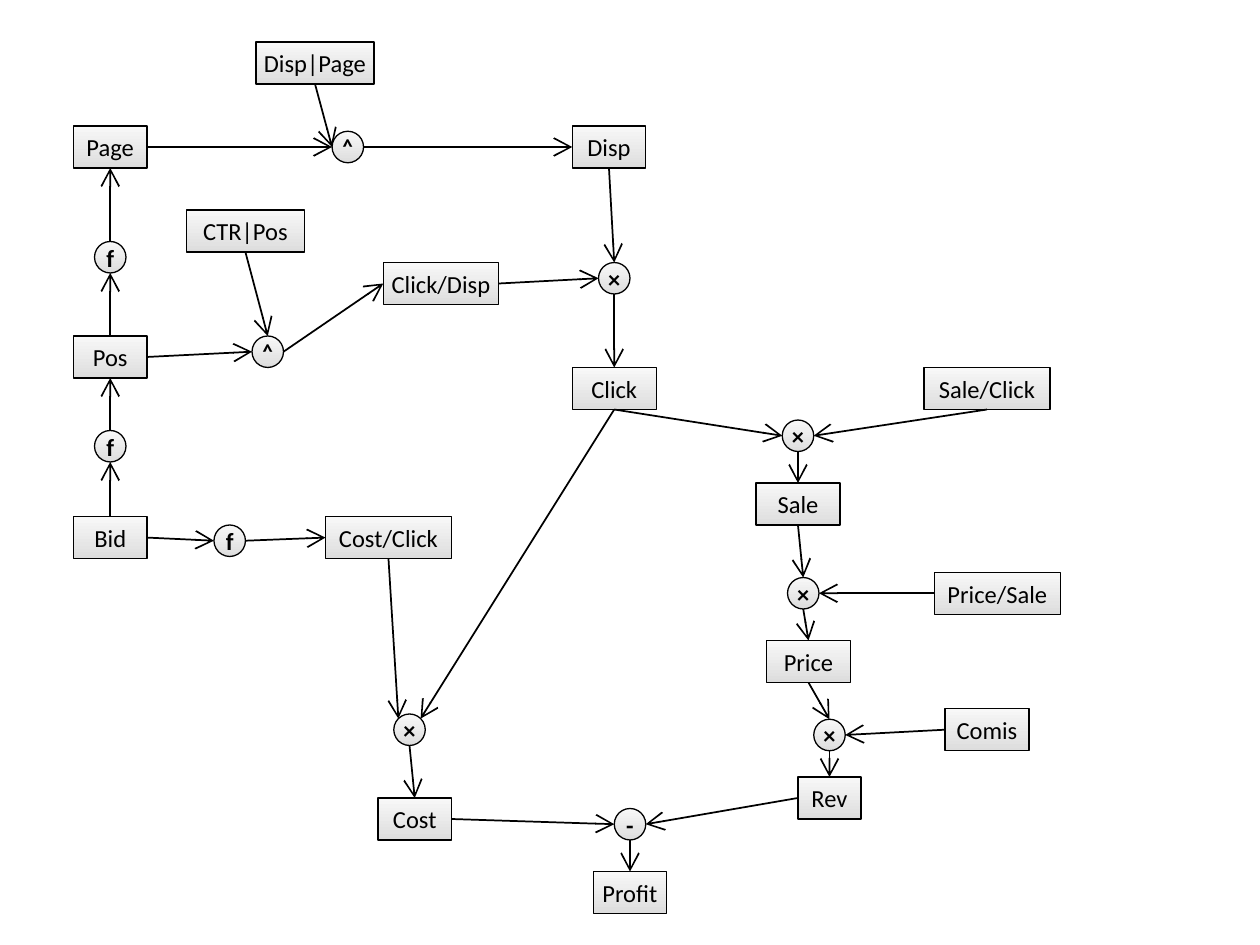
"""Builds a flow diagram that leads from bid and position to profit."""
from lxml import etree
from pptx import Presentation, util as u
from pptx.dml import color
from pptx.enum import shapes, text
from pptx.oxml import ns

COLORS = {"top": "F8F8F8", "bottom": "DDDDDD", "ink": "000000"}
FONT = {"name": "Calibri", "size": u.Pt(14)}
FRAME = {"word_wrap": False, "vertical_anchor": text.MSO_ANCHOR.MIDDLE}
CELL = u.Inches(1) / 24
BOX_ROWS = 8
DOT = 6

BOXES = {
    "Sale/Click": (176, 70, 24), "Price/Sale": (178, 109, 24),
    "Cost/Click": (62, 98.4, 24), "Click/Disp": (73, 50, 22),
    "Disp|Page": (48.75, 8, 22.5), "CTR|Pos": (35.5, 40, 22.5),
    "Page": (14, 24, 14), "Pos": (14, 64, 14), "Bid": (14, 98.4, 14),
    "Disp": (109, 24, 14), "Click": (109, 70, 16), "Sale": (144, 92, 16),
    "Price": (146, 122, 16), "Comis": (180, 135, 16), "Rev": (152, 148, 12),
    "Cost": (72, 152, 14), "Profit": (113, 166, 14),
}
OPERATORS = {
    "page and": ("˄", 63.25, 25), "pos and": ("˄", 48, 64),
    "page f": ("f", 18, 46), "pos f": ("f", 18, 82), "cost f": ("f", 40.75, 100),
    "click times": ("×", 114, 50), "sale times": ("×", 149, 80),
    "price times": ("×", 150, 110), "rev times": ("×", 155, 137),
    "cost times": ("×", 75, 136), "minus": ("-", 117, 154),
}
ARROWS = [
    ("Bid", "N", "pos f", "S"), ("pos f", "N", "Pos", "S"),
    ("Pos", "N", "page f", "S"), ("page f", "N", "Page", "S"),
    ("Page", "E", "page and", "W"), ("Disp|Page", "S", "page and", "W"),
    ("page and", "E", "Disp", "W"), ("Pos", "E", "pos and", "W"),
    ("CTR|Pos", "S", "pos and", "N"), ("pos and", "E", "Click/Disp", "W"),
    ("Click/Disp", "E", "click times", "W"), ("Disp", "S", "click times", "N"),
    ("click times", "S", "Click", "N"), ("Click", "S", "sale times", "W"),
    ("Sale/Click", "S", "sale times", "E"), ("sale times", "S", "Sale", "N"),
    ("Sale", "S", "price times", "N"), ("Price/Sale", "W", "price times", "E"),
    ("price times", "S", "Price", "N"), ("Price", "S", "rev times", "N"),
    ("Comis", "W", "rev times", "E"), ("rev times", "S", "Rev", "N"),
    ("Bid", "E", "cost f", "W"), ("cost f", "E", "Cost/Click", "W"),
    ("Cost/Click", "S", "cost times", "NW"), ("Click", "S", "cost times", "NE"),
    ("cost times", "S", "Cost", "N"), ("Cost", "E", "minus", "W"),
    ("Rev", "W", "minus", "E"), ("minus", "S", "Profit", "N"),
]
SITES = {"N": (0.5, 0), "W": (0, 0.5), "S": (0.5, 1), "E": (1, 0.5),
         "NW": (0.146, 0.146), "NE": (0.854, 0.146)}
RECT_SITES = {"N": 0, "W": 1, "S": 2, "E": 3}
OVAL_SITES = {"N": 0, "NW": 1, "W": 2, "S": 4, "E": 6, "NE": 7}


def rgb(key):
    return color.RGBColor.from_string(COLORS[key])


def apply(target, values):
    for name, value in values.items():
        setattr(target, name, value)


def add_node(s, kind, label, cells, bold=None):
    sp = s.shapes.add_shape(kind, *(u.Emu(round(c * CELL)) for c in cells))
    sp.shadow.inherit = False
    sp.fill.gradient()
    sp.fill.gradient_angle = 270
    for stop, key in zip(sp.fill.gradient_stops, ("top", "bottom")):
        stop.color.rgb = rgb(key)
    sp.line.color.rgb = rgb("ink")
    sp.line.width = u.Pt(0.75)
    apply(sp.text_frame, FRAME)
    p = sp.text_frame.paragraphs[0]
    p.alignment = text.PP_ALIGN.CENTER
    r = p.add_run()
    r.text = label
    apply(r.font, {**FONT, "bold": bold})
    r.font.color.rgb = rgb("ink")
    return sp


def site_point(sp, site):
    x, y = SITES[site]
    return round(sp.left + x * sp.width), round(sp.top + y * sp.height)


def add_arrow(s, start, start_site, end, end_site):
    cxn = s.shapes.add_connector(shapes.MSO_CONNECTOR.STRAIGHT,
                                 *site_point(start, start_site),
                                 *site_point(end, end_site))
    cxn.line.color.rgb = rgb("ink")
    cxn.line.width = u.Pt(1)
    props = cxn._element.spPr
    etree.SubElement(props.find(ns.qn("a:ln")), ns.qn("a:tailEnd"),
                     type="arrow", w="lg", len="lg")
    etree.SubElement(props, ns.qn("a:effectLst"))
    links = cxn._element.find(".//" + ns.qn("p:cNvCxnSpPr"))
    for tag, sp, site in (("a:stCxn", start, start_site), ("a:endCxn", end, end_site)):
        oval = sp.auto_shape_type == shapes.MSO_SHAPE.OVAL
        index = (OVAL_SITES if oval else RECT_SITES)[site]
        etree.SubElement(links, ns.qn(tag), id=str(sp.shape_id), idx=str(index))


def main():
    prs = Presentation()
    prs.slide_width, prs.slide_height = u.Inches(10), u.Inches(7.5)
    s = prs.slides.add_slide(prs.slide_layouts[6])
    nodes = {}
    for label, (col, row, cols) in BOXES.items():
        nodes[label] = add_node(s, shapes.MSO_SHAPE.RECTANGLE, label,
                                (col, row, cols, BOX_ROWS))
    for name, (sign, col, row) in OPERATORS.items():
        nodes[name] = add_node(s, shapes.MSO_SHAPE.OVAL, sign,
                               (col, row, DOT, DOT), bold=True)
    for start, start_site, end, end_site in ARROWS:
        add_arrow(s, nodes[start], start_site, nodes[end], end_site)
    prs.save("out.pptx")


main()
